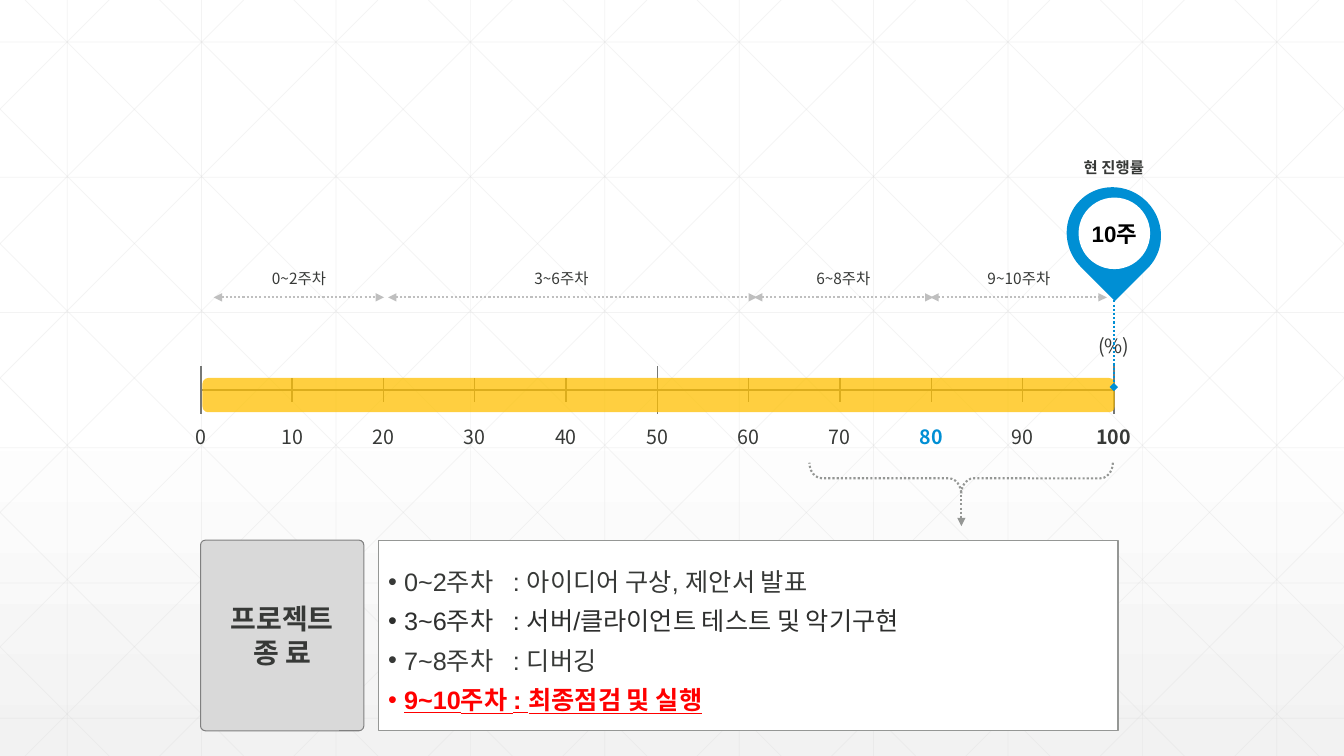
from dataclasses import dataclass

from lxml import etree
from pptx import Presentation
from pptx.dml.color import RGBColor
from pptx.enum.dml import MSO_LINE
from pptx.enum.shapes import MSO_CONNECTOR, MSO_SHAPE
from pptx.enum.text import MSO_ANCHOR, MSO_AUTO_SIZE, PP_ALIGN
from pptx.oxml.ns import qn
from pptx.util import Inches, Pt

STRAIGHT = MSO_CONNECTOR.STRAIGHT
DOTTED = MSO_LINE.ROUND_DOT
ROUNDED, TEARDROP = MSO_SHAPE.ROUNDED_RECTANGLE, MSO_SHAPE.TEAR
CIRCLE, BRACE = MSO_SHAPE.OVAL, MSO_SHAPE.RIGHT_BRACE
CENTER, LEFT = PP_ALIGN.CENTER, PP_ALIGN.LEFT
TOP, MIDDLE = MSO_ANCHOR.TOP, MSO_ANCHOR.MIDDLE
NO_AUTOFIT = MSO_AUTO_SIZE.NONE

COLS, ROWS = 160, 90  # grid over the whole slide


@dataclass(frozen=True)
class Theme:
    sans: str = "Noto Sans CJK KR"
    heading: str = "Arial"
    ink: str = "373937"
    dark: str = "2D2E2D"
    black: str = "000000"
    white: str = "FFFFFF"
    shade: str = "F2F2F2"
    light: str = "D9D9D9"
    span: str = "BFBFBF"
    axis: str = "767876"
    edge: str = "808080"
    guide: str = "959795"
    accent: str = "008FD4"
    progress: str = "FFC000"
    alert: str = "FF0000"
    caption: int = 11
    tick: int = 14
    pin: int = 16
    body: int = 18
    title: int = 20


class Canvas:
    def __init__(self, deck, theme):
        self.theme = theme
        self.col = deck.slide_width / COLS
        self.row = deck.slide_height / ROWS
        self.slide = deck.slides.add_slide(deck.slide_layouts[1])
        self.shapes = self.slide.shapes
        heading = self.shapes.title.element
        heading.getparent().remove(heading)

    def box(self, left, top, width, height):
        return (round(left * self.col), round(top * self.row),
                round(width * self.col), round(height * self.row))

    def background(self):
        fill = self.slide.background.fill
        fill.gradient()
        fill.gradient_angle = 270
        for stop, position, color in zip(fill.gradient_stops, (0.53, 1),
                                         (self.theme.white, self.theme.shade)):
            stop.position = position
            stop.color.rgb = RGBColor.from_string(color)

    def fade(self, part, percent):
        color = part.find(".//" + qn("a:srgbClr"))
        etree.SubElement(color, qn("a:alpha"), val=str(percent * 1000))

    def outline(self, line, color, width, dash=None):
        line.color.rgb = RGBColor.from_string(color)
        line.width = Pt(width)
        if dash is not None:
            line.dash_style = dash

    def line(self, x1, y1, x2, y2, color, width, dash=None,
             head=None, tail=None, opacity=100):
        start, end = self.box(x1, y1, 0, 0)[:2], self.box(x2, y2, 0, 0)[:2]
        link = self.shapes.add_connector(STRAIGHT, *start, *end)
        self.outline(link.line, color, width, dash)
        props = link.element.spPr
        stroke = props.find(qn("a:ln"))
        for tag, kind in (("a:headEnd", head), ("a:tailEnd", tail)):
            if kind:
                etree.SubElement(stroke, qn(tag), type=kind)
        if opacity < 100:
            self.fade(stroke, opacity)
        etree.SubElement(props, qn("a:effectLst"))

    def shape(self, kind, place, fill=None, edge=None, opacity=100,
              rotation=0, adjust=()):
        figure = self.shapes.add_shape(kind, *self.box(*place))
        figure.shadow.inherit = False
        figure.rotation = rotation
        for index, value in enumerate(adjust):
            figure.adjustments[index] = value
        self.paint(figure, fill, edge)
        if opacity < 100:
            self.fade(figure.element.spPr, opacity)
        return figure

    def paint(self, figure, fill, edge):
        if fill:
            figure.fill.solid()
            figure.fill.fore_color.rgb = RGBColor.from_string(fill)
        else:
            figure.fill.background()
        if edge:
            self.outline(figure.line, *edge)
        else:
            figure.line.fill.background()

    def style(self, paragraph, size, color, face, bold=False, align=CENTER):
        paragraph.alignment = align
        for run in paragraph.runs:
            run.font.size = Pt(size)
            run.font.bold = bold
            run.font.name = face
            run.font.color.rgb = RGBColor.from_string(color)
            latin = run.font._element.find(qn("a:latin"))
            latin.addnext(etree.Element(qn("a:ea"), typeface=self.theme.sans))

    def put_text(self, figure, text, size, color, face, bold=False, anchor=MIDDLE):
        frame = figure.text_frame
        frame.word_wrap = True
        frame.vertical_anchor = anchor
        frame.text = text
        for paragraph in frame.paragraphs:
            self.style(paragraph, size, color, face, bold)

    def label(self, text, center, top, width, size, color=None, bold=False):
        place = self.box(center - width / 2, top, width, size * 0.3)
        self.put_text(self.shapes.add_textbox(*place), text, size,
                      color or self.theme.ink, self.theme.sans, bold, TOP)

    def schedule(self, place, entries):
        theme = self.theme
        panel = self.slide.placeholders[1]
        self.shapes.element.append(panel.element)  # bring to front
        panel.left, panel.top, panel.width, panel.height = self.box(*place)
        self.paint(panel, theme.white, (theme.guide, 0.75))
        frame = panel.text_frame
        frame.auto_size = NO_AUTOFIT
        frame.vertical_anchor = MIDDLE
        frame.text = "\n".join(weeks for weeks, *_ in entries)
        for paragraph, (_, task, color, final) in zip(frame.paragraphs, entries):
            gap, detail = paragraph.add_run(), paragraph.add_run()
            gap.text, detail.text = " ", ": " + task
            self.style(paragraph, theme.body, color, theme.heading, final, LEFT)
            if not final:  # widen the gap so that the colons line up
                gap.font._element.set("spc", "1000")
            for run in paragraph.runs:
                run.font.underline = final
            paragraph.line_spacing = 1.3
            paragraph.space_before = Pt(0)
            props = paragraph._p.get_or_add_pPr()
            props.set("marL", str(Inches(0.16)))
            props.set("indent", str(-Inches(0.16)))
            etree.SubElement(props, qn("a:buFont"), typeface=theme.heading)
            etree.SubElement(props, qn("a:buChar"), char="•")


def draw_lattice(canvas):
    def thread(*ends):
        canvas.line(*ends, canvas.theme.light, 0.5, opacity=30)

    for i in range(10):
        thread(8 + 16 * i, 0, 8 + 16 * i, ROWS)
    for j in range(6):
        thread(0, 5 + 16.1 * j, COLS, 5 + 16.1 * j)
    for k in range(-5, 10):
        start = 3 + 16 * k
        top, bottom = max(0, -start), min(ROWS, COLS - start)
        thread(start + top, top, start + bottom, bottom)
        thread(COLS - start - top, top, COLS - start - bottom, bottom)


def draw_scale(canvas, position):
    theme = canvas.theme
    axis = 46.44
    canvas.line(position(0), axis, position(100), axis, theme.axis, 1.5)
    for percent in range(0, 101, 10):
        x = position(percent)
        reach = 1.44 if percent % 50 else 2.82
        canvas.line(x, axis - reach, x, axis + reach, theme.axis,
                    1 if percent % 100 else 1.5)
        canvas.label(str(percent), x, 50.04, 7.08, theme.tick,
                     theme.accent if percent == 80 else theme.ink,
                     percent in (80, 100))
    canvas.label("(%)", position(100), 39.12, 7.08, theme.tick)
    canvas.shape(ROUNDED, (24.1, 45, 108.6, 4.08), theme.progress, opacity=75)


def draw_phases(canvas):
    phases = [("0~2주차", 25.44, 45.72, 35.6), ("3~6주차", 46.2, 90.12, 66.84),
              ("6~8주차", 89.76, 111.12, 100.4), ("9~10주차", 110.76, 131.76, 121.3)]
    for weeks, start, end, center in phases:
        canvas.line(start, 35.4, end, 35.4, canvas.theme.span, 1.5, DOTTED,
                    "triangle", "triangle")
        canvas.label(weeks, center, 31.44, 20, canvas.theme.caption)


def draw_pin(canvas, x):
    theme = canvas.theme
    canvas.shape(TEARDROP, (127.08, 22.2, 11.04, 11.4), theme.accent, rotation=135)
    week = canvas.shape(CIRCLE, (128.4, 23.52, 8.52, 8.52), theme.white)
    frame = week.text_frame
    frame.margin_left = frame.margin_right = frame.margin_top = frame.margin_bottom = 0
    canvas.put_text(week, "10주", theme.pin, theme.black, theme.heading, True)
    canvas.label("현 진행률", x, 18.24, 15.6, theme.caption, bold=True)
    canvas.line(x, 35.76, x, 46.08, theme.accent, 1.5, DOTTED, tail="diamond")


def draw_summary(canvas):
    theme = canvas.theme
    # Brace and arrow down to the schedule
    canvas.shape(BRACE, (112.56, 38.88, 3.72, 36.12), rotation=90,
                 edge=(theme.guide, 1.5, DOTTED), adjust=(0.4, 0.5))
    canvas.line(114.45, 58.92, 114.45, 62.64, theme.guide, 1.5, DOTTED, tail="triangle")
    # Schedule and its heading
    canvas.schedule((45, 64.4, 88.1, 22.6), [
        ("0~2주차", "아이디어 구상, 제안서 발표", theme.ink, False),
        ("3~6주차", "서버/클라이언트 테스트 및 악기구현", theme.dark, False),
        ("7~8주차", "디버깅", theme.ink, False),
        ("9~10주차", "최종점검 및 실행", theme.alert, True)])
    status = canvas.shape(ROUNDED, (23.88, 64.3, 19.44, 22.7), theme.light,
                          (theme.edge, 0.75), adjust=(0.03,))
    canvas.put_text(status, "프로젝트\n종 료", theme.title, theme.ink, theme.heading, True)


def main():
    deck = Presentation()
    deck.slide_width, deck.slide_height = Inches(13.33), Inches(7.5)
    canvas = Canvas(deck, Theme())

    def position(percent):
        return 23.9 + (132.6 - 23.9) * percent / 100

    canvas.background()
    draw_lattice(canvas)
    draw_scale(canvas, position)
    draw_phases(canvas)
    draw_pin(canvas, position(100))
    draw_summary(canvas)
    deck.save("out.pptx")


if __name__ == "__main__":
    main()
